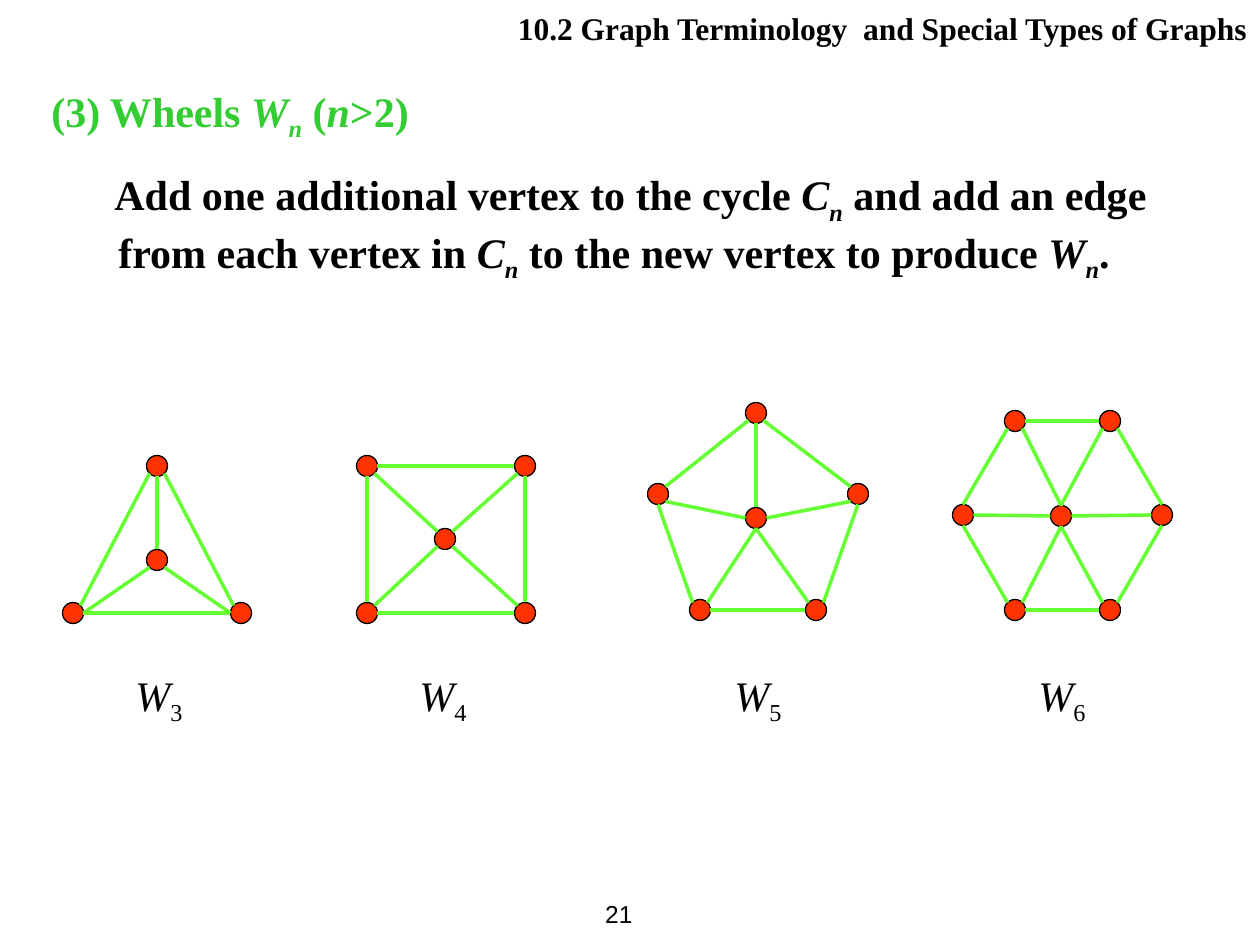
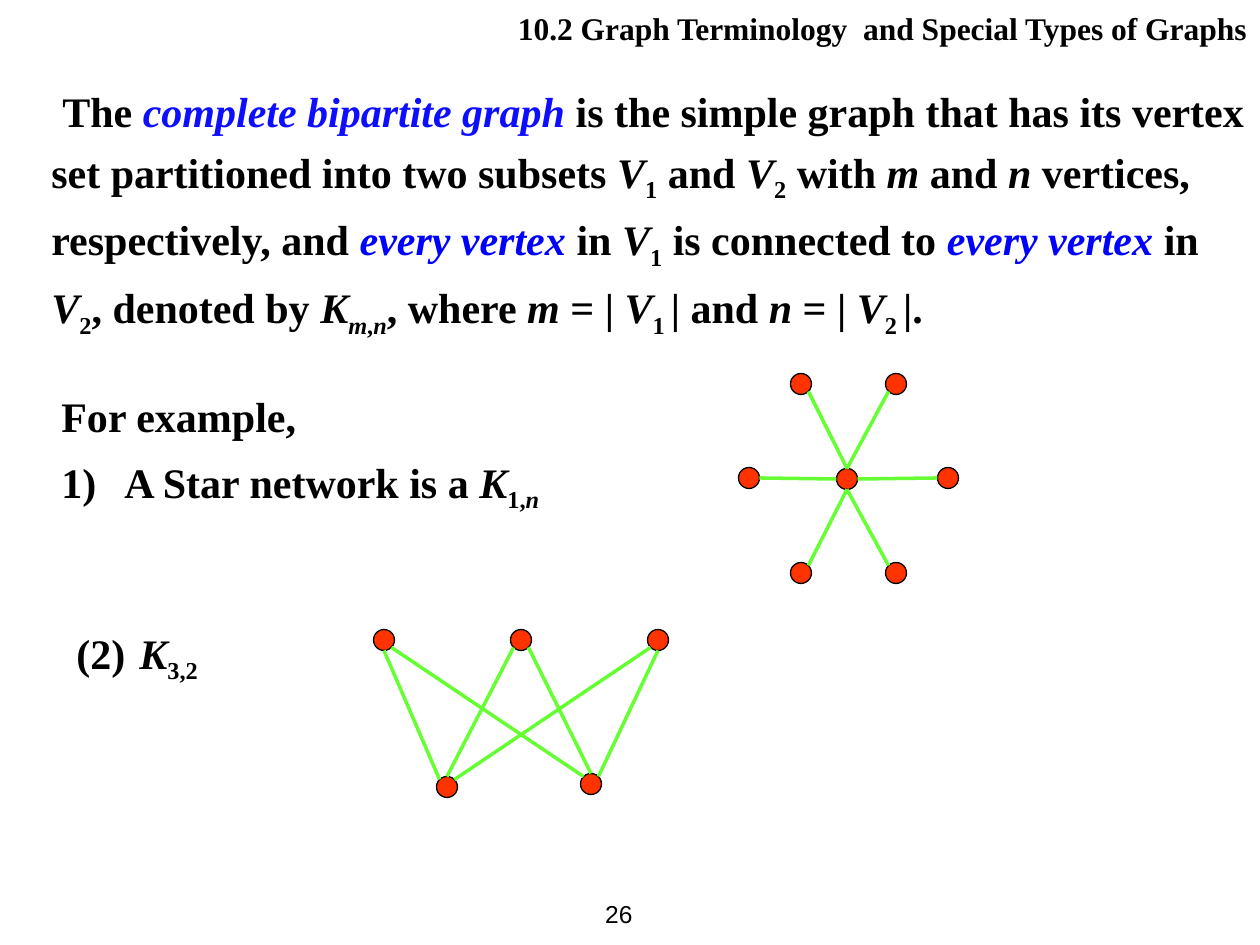
from dataclasses import dataclass
from math import atan2, cos, pi, sin

from lxml import etree
from pptx import Presentation
from pptx.dml.color import RGBColor
from pptx.enum.shapes import MSO_CONNECTOR, MSO_SHAPE
from pptx.enum.text import MSO_ANCHOR, MSO_AUTO_SIZE, PP_ALIGN
from pptx.oxml.ns import qn
from pptx.util import Pt

EMU_PER_PX = 914400 / 126
TITLE_ONLY = 5
LINE = MSO_CONNECTOR.STRAIGHT
VERTEX = MSO_SHAPE.FLOWCHART_CONNECTOR
LEFT, RIGHT = PP_ALIGN.LEFT, PP_ALIGN.RIGHT
TOP, MIDDLE = MSO_ANCHOR.TOP, MSO_ANCHOR.MIDDLE
NO_AUTOFIT = MSO_AUTO_SIZE.NONE


@dataclass(frozen=True)
class Theme:
    serif: str = "Times New Roman"
    sans: str = "Arial"
    ink: str = "000000"
    heading: str = "33CC33"
    term: str = "0D0DFF"
    emphasis: str = "0000FF"
    vertex: str = "FF3300"
    edge: str = "66FF33"
    title_size: int = 18
    body_size: int = 24
    page_size: int = 14
    outline_width: float = 0.75
    edge_width: int = 2
    vertex_px: int = 21


THEME = Theme()


@dataclass
class Line:
    """A paragraph; a run is plain text or (text, flags):
    i italic, s subscript, t defined term, e emphasis."""
    runs: list
    space_before: int = 0
    margin: int = 0
    indent: int = 0
    color: str = THEME.ink
    font: str = THEME.serif
    size: int = THEME.body_size
    bold: bool = True
    align: int = LEFT
    numbered: bool = False
    tab: int = 0


CHAPTER = Line(["10.2 Graph Terminology  and Special Types of Graphs"],
               size=THEME.title_size, align=RIGHT)

# Compass points are the eight connection sites of a vertex, clockwise from east.
SITES = ["E", "SE", "S", "SW", "W", "NW", "N", "NE"]

TRIANGLE = {"l": (73, 613), "r": (241, 613), "t": (157, 466), "hub": (157, 560)}
SQUARE = {"bl": (367, 613), "br": (525, 613), "tl": (367, 466), "tr": (525, 466),
          "hub": (445, 539)}
PENTAGON = {"bl": (700, 610), "br": (816, 610), "l": (658, 494), "r": (858, 494),
            "t": (756, 413), "hub": (756, 518)}
HEXAGON = {"bl": (1015, 610), "br": (1110, 610), "l": (963, 515), "r": (1162, 515),
           "tl": (1015, 421), "tr": (1110, 421), "hub": (1061, 516)}
BIPARTITE = {"v1": (384, 640), "v2": (521, 640), "v3": (658, 640),
             "u1": (447, 787), "u2": (591, 784)}

HEXAGON_SPOKES = "hub.S-bl hub.S-br hub-l hub-r hub.N-tl hub.N-tr"
WHEELS = [
    ("3", 123, TRIANGLE, "l-t l-r r-t hub-l.E hub-r.W hub-t"),
    ("4", 407, SQUARE, "bl-tl tl-tr tr-br bl-br hub-bl hub-tl hub-tr hub-br"),
    ("5", 722, PENTAGON, "l-bl.NW bl-br br.NE-r r-t l-t "
                         "hub.S-bl hub.S-br hub-l.SE hub-r.SW hub-t"),
    ("6", 1026, HEXAGON, "l.S-bl bl-br br-r.S r.N-tr l.N-tl tl-tr " + HEXAGON_SPOKES),
]
BIPARTITE_EDGES = "v1.S-u1 v1-u2 v2-u1.N v2-u2.N v3-u1 v3.S-u2"


def px(length):
    return round(length * EMU_PER_PX)


def rgb(color):
    return RGBColor.from_string(color)


def add_run(paragraph, text, flags=""):
    run = paragraph.add_run()
    run.text = text
    if "i" in flags:
        run.font.italic = True
    if "t" in flags:
        run.font.color.rgb = rgb(THEME.term)
    if "e" in flags:
        run.font.color.rgb = rgb(THEME.emphasis)
    if "s" in flags:
        run._r.get_or_add_rPr().set("baseline", "-25000")


def write_line(paragraph, line):
    paragraph.alignment = line.align
    paragraph.space_before = Pt(line.space_before)
    properties = paragraph._p.get_or_add_pPr()
    properties.set("marL", str(px(line.margin)))
    properties.set("indent", str(px(line.indent)))
    if line.numbered:
        etree.SubElement(properties, qn("a:buFont"), typeface="+mj-lt")
        etree.SubElement(properties, qn("a:buAutoNum"), type="arabicParenR")
    if line.tab:
        tabs = etree.SubElement(properties, qn("a:tabLst"))
        etree.SubElement(tabs, qn("a:tab"), pos=str(px(line.tab)), algn="l")
    font = paragraph.font
    font.name, font.size, font.bold = line.font, Pt(line.size), line.bold
    font.color.rgb = rgb(line.color)
    for run in line.runs:
        add_run(paragraph, *([run] if isinstance(run, str) else run))


def fill_frame(shape, lines, anchor=TOP):
    frame = shape.text_frame
    frame.word_wrap = True
    frame.auto_size = NO_AUTOFIT
    frame.vertical_anchor = anchor
    for index, line in enumerate(lines):
        write_line(frame.add_paragraph() if index else frame.paragraphs[0], line)
    return frame


def add_text(slide, box, lines, anchor=TOP):
    shape = slide.shapes.add_textbox(*map(px, box))
    return fill_frame(shape, lines, anchor)


def add_page(presentation, number):
    """Add a slide with the chapter title and its page number."""
    slide = presentation.slides.add_slide(presentation.slide_layouts[TITLE_ONLY])
    title = slide.shapes.title
    title.left, title.top, title.width, title.height = map(px, (501, 3, 759, 88))
    fill_frame(title, [CHAPTER])
    page = Line([number], font=THEME.sans, size=THEME.page_size, bold=False, align=RIGHT)
    add_text(slide, (561, 882, 84, 63), [page], MIDDLE)
    return slide


def add_vertex(group, center):
    size = THEME.vertex_px
    left, top = (px(value - size / 2) for value in center)
    shape = group.shapes.add_shape(VERTEX, left, top, px(size), px(size))
    shape.shadow.inherit = False
    shape.fill.solid()
    shape.fill.fore_color.rgb = rgb(THEME.vertex)
    shape.line.color.rgb = rgb(THEME.ink)
    shape.line.width = Pt(THEME.outline_width)


def edge_end(center, other, site):
    """Point on a vertex at the named site, or at the site nearest the other vertex."""
    if site:
        step = SITES.index(site)
    else:
        step = round(atan2(other[1] - center[1], other[0] - center[0]) / (pi / 4))
    radius, angle = THEME.vertex_px / 2, step * pi / 4
    return px(center[0] + radius * cos(angle)), px(center[1] + radius * sin(angle))


def add_edge(group, vertices, edge):
    (first, _, first_site), (last, _, last_site) = (
        end.partition(".") for end in edge.split("-"))
    start, stop = vertices[first], vertices[last]
    connector = group.shapes.add_connector(
        LINE, *edge_end(start, stop, first_site), *edge_end(stop, start, last_site))
    connector.line.color.rgb = rgb(THEME.edge)
    connector.line.width = Pt(THEME.edge_width)
    etree.SubElement(connector._element.spPr, qn("a:effectLst"))


def add_graph(slide, vertices, edges):
    group = slide.shapes.add_group_shape()
    for center in vertices.values():
        add_vertex(group, center)
    for edge in edges.split():
        add_edge(group, vertices, edge)


def add_wheels_slide(presentation):
    slide = add_page(presentation, "21")
    add_text(slide, (39, 79, 1160, 212), [
        Line(["(3) Wheels ", ("W", "i"), ("n", "is"), " (", ("n", "i"), ">2)"],
             color=THEME.heading),
        Line(["Add one additional vertex to the cycle ", ("C", "i"), ("n", "is"),
              " and add an edge from each vertex in ", ("C", "i"), ("n", "is"),
              " to the new vertex to produce ", ("W", "i"), ("n", "is"), "."],
             space_before=15, margin=67, indent=-4),
    ])
    for order, label_left, vertices, edges in WHEELS:
        add_text(slide, (label_left, 663, 110, 71),
                 [Line([("W", "i"), (order, "s")], bold=False)])
        add_graph(slide, vertices, edges)


def add_bipartite_slide(presentation):
    slide = add_page(presentation, "26")
    v1, v2 = [("V", "i"), ("1", "s")], [("V", "i"), ("2", "s")]
    definition = add_text(slide, (39, 79, 1221, 267), [
        Line(["The ", ("complete bipartite graph ", "it"),
              "is the simple graph that has its vertex"], margin=11),
        Line(["set partitioned into two subsets ", *v1, " and ", *v2, " with ",
              ("m ", "i"), "and ", ("n", "i"), " vertices,"], space_before=6),
        Line(["respectively, and ", ("every vertex", "ie"), " in ", *v1,
              " is connected to ", ("every vertex", "ie"), " in"], space_before=6),
        Line([*v2, ", denoted by ", ("K", "i"), ("m", "is"), (",", "s"), ("n", "is"),
              ", where ", ("m ", "i"), "= | ", *v1, (" ", "s"), "| and ", ("n ", "i"),
              "= | ", *v2, (" ", "s"), "|."], space_before=6),
    ])
    definition.margin_right = 0
    add_text(slide, (49, 384, 1144, 191), [
        Line(["For example,"]),
        Line(["A Star network is a ", ("K", "i"), ("1,", "s"), ("n", "is")],
             space_before=9, margin=63, indent=-63, numbered=True),
    ])
    star = {name: (x - 214, y - 37) for name, (x, y) in HEXAGON.items()}
    add_graph(slide, star, HEXAGON_SPOKES)
    add_text(slide, (64, 621, 1144, 71),
             [Line(["(2)\t", ("K", "i"), ("3,2", "s")], tab=70)])
    add_graph(slide, BIPARTITE, BIPARTITE_EDGES)


def main():
    presentation = Presentation()
    presentation.slide_width, presentation.slide_height = px(1260), px(945)
    add_wheels_slide(presentation)
    add_bipartite_slide(presentation)
    presentation.save("out.pptx")


if __name__ == "__main__":
    main()
